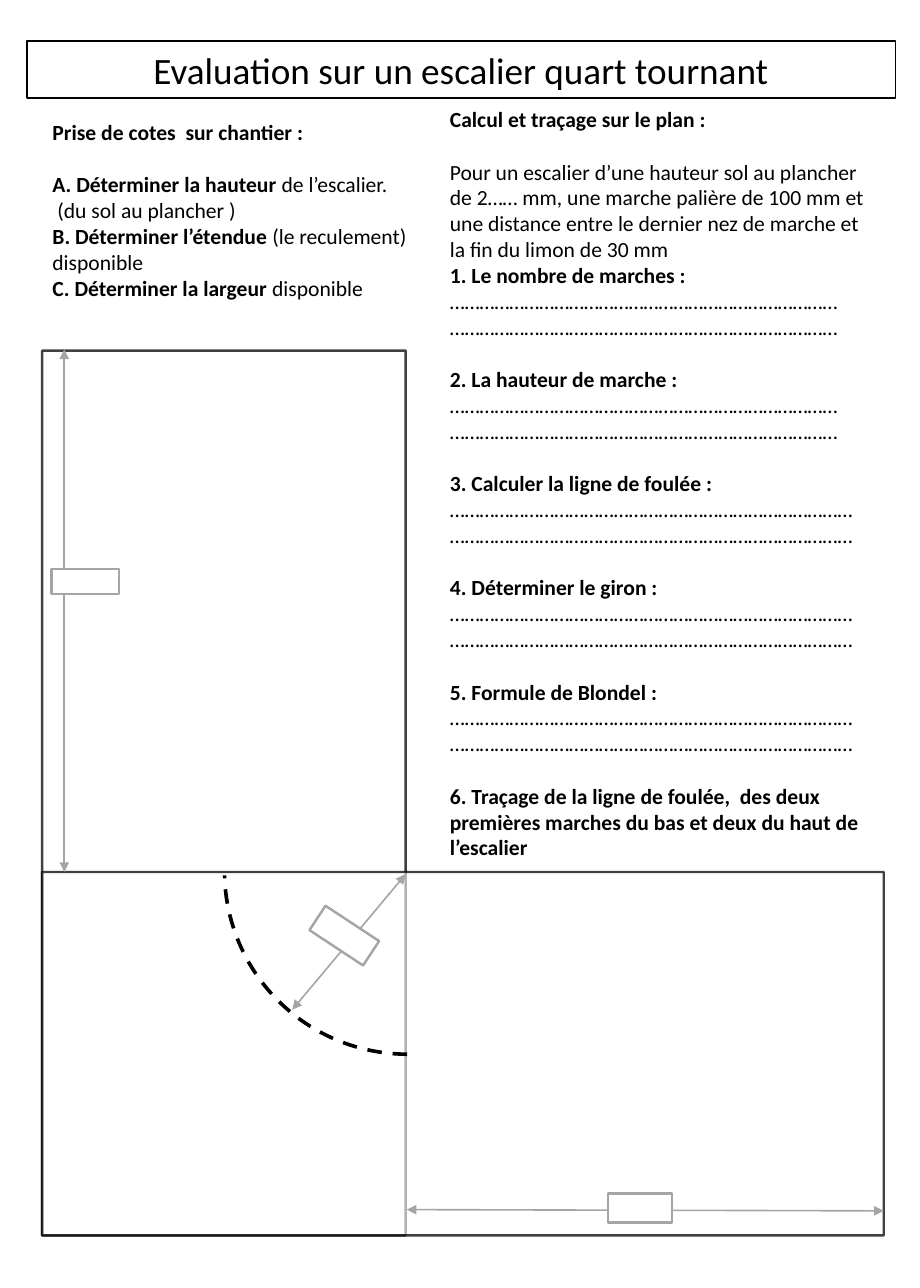
"""Builds a one-page evaluation sheet about a quarter-turn staircase."""
from dataclasses import dataclass
from typing import Optional

import pptx
import pptx.dml.color
import pptx.enum.dml
import pptx.enum.shapes
import pptx.enum.text
import pptx.oxml
import pptx.oxml.ns
import pptx.shapes.autoshape
import pptx.slide
import pptx.text.text
import pptx.util

SLIDE_WIDTH = pptx.util.Inches(7.87)
SLIDE_HEIGHT = pptx.util.Inches(11.02)
PRESETS = pptx.enum.shapes.MSO_SHAPE


@dataclass(frozen=True)
class Theme:
    font: str = "Calibri"
    ink: str = "000000"
    paper: str = "FFFFFF"
    measure: str = "A5A5A5"
    title_size: float = 22.9
    body_size: float = 13.3
    blank_line: float = 16.25
    thin: float = 1
    outline: float = 1.5
    walking_line: float = 2.25
    flight_fill_opacity: int = 60
    flight_line_opacity: int = 75


THEME = Theme()


@dataclass(frozen=True)
class Area:
    """Left, top, width and height as percentages of the slide."""
    left: float
    top: float
    width: float
    height: float

    def box(self) -> tuple[int, int, int, int]:
        return across(self.left), down(self.top), across(self.width), down(self.height)


@dataclass(frozen=True)
class Dimension:
    start: tuple[float, float]
    end: tuple[float, float]
    label: Area
    rotation: float = 0


@dataclass(frozen=True)
class Entry:
    bold: str = ""
    plain: str = ""
    spaced: bool = False


@dataclass(frozen=True)
class Question:
    heading: str
    dots: int


FLIGHTS = [
    (Area(-23.76, 47.46, 96.19, 28.22), 90),
    (Area(4.57, 67.7, 91.49, 28.22), 0),
]
DIMENSIONS = [
    Dimension((6.99, 27.13), (6.99, 67.7), Area(5.59, 44.19, 7.37, 1.91)),
    Dimension((96.06, 94.01), (44.22, 93.92), Area(66.07, 92.65, 6.99, 2.27)),
    Dimension((44.09, 67.88), (31.77, 78.4), Area(33.93, 71.51, 6.99, 2.27), 33.4),
]
SURVEY = [
    Entry("Prise de cotes  sur chantier :"),
    Entry("A. Déterminer la hauteur ", "de l’escalier.", True),
    Entry(plain=" (du sol au plancher )"),
    Entry("B. Déterminer l’étendue ", "(le reculement) disponible"),
    Entry("C. Déterminer la largeur ", "disponible"),
]
QUESTIONS = [
    Question("1. Le nombre de marches :", 26),
    Question("2. La hauteur de marche :", 26),
    Question("3. Calculer la ligne de foulée :", 27),
    Question("4. Déterminer le giron :", 27),
    Question("5. Formule de Blondel :", 27),
]
ANSWER_LINES = 2


def across(share: float) -> int:
    return round(SLIDE_WIDTH * share / 100)


def down(share: float) -> int:
    return round(SLIDE_HEIGHT * share / 100)


def rgb(value: str) -> pptx.dml.color.RGBColor:
    return pptx.dml.color.RGBColor.from_string(value)


def style_font(paragraph: pptx.text.text._Paragraph, size: float) -> None:
    paragraph.font.name = THEME.font
    paragraph.font.size = pptx.util.Pt(size)
    paragraph.font.color.rgb = rgb(THEME.ink)


def set_opacity(shape: pptx.shapes.autoshape.Shape, part: str, percent: int) -> None:
    holder = shape.element.spPr.find(pptx.oxml.ns.qn(part))
    for colour in holder.iter(pptx.oxml.ns.qn("a:srgbClr")):
        alpha = colour.makeelement(pptx.oxml.ns.qn("a:alpha"), {"val": str(percent * 1000)})
        colour.append(alpha)


def draw_shape(slide: pptx.slide.Slide, area: Area, line: str, weight: float,
               fill: Optional[str] = THEME.paper, rotation: float = 0,
               preset: PRESETS = PRESETS.RECTANGLE) -> pptx.shapes.autoshape.Shape:
    shape = slide.shapes.add_shape(preset, *area.box())
    shape.shadow.inherit = False
    shape.rotation = rotation
    shape.line.color.rgb = rgb(line)
    shape.line.width = pptx.util.Pt(weight)
    if fill is None:
        shape.fill.background()
    else:
        shape.fill.solid()
        shape.fill.fore_color.rgb = rgb(fill)
    return shape


def draw_flight(slide: pptx.slide.Slide, area: Area, rotation: float) -> None:
    flight = draw_shape(slide, area, THEME.ink, THEME.outline, rotation=rotation)
    set_opacity(flight, "a:solidFill", THEME.flight_fill_opacity)
    set_opacity(flight, "a:ln", THEME.flight_line_opacity)


def draw_dimension(slide: pptx.slide.Slide, dimension: Dimension) -> None:
    (x1, y1), (x2, y2) = dimension.start, dimension.end
    arrow = slide.shapes.add_connector(pptx.enum.shapes.MSO_CONNECTOR.STRAIGHT,
                                       across(x1), down(y1), across(x2), down(y2))
    arrow.line.color.rgb = rgb(THEME.measure)
    arrow.line.width = pptx.util.Pt(THEME.thin)
    properties = arrow.element.spPr
    stroke = properties.find(pptx.oxml.ns.qn("a:ln"))
    for tip in ("a:headEnd", "a:tailEnd"):
        stroke.append(stroke.makeelement(pptx.oxml.ns.qn(tip), {"type": "triangle"}))
    properties.append(properties.makeelement(pptx.oxml.ns.qn("a:effectLst"), {}))
    draw_shape(slide, dimension.label, THEME.measure, THEME.outline,
               rotation=dimension.rotation)


def write_column(slide: pptx.slide.Slide, area: Area, entries: list[Entry]) -> None:
    frame = slide.shapes.add_textbox(*area.box()).text_frame
    frame.word_wrap = True
    frame.auto_size = pptx.enum.text.MSO_AUTO_SIZE.SHAPE_TO_FIT_TEXT
    for index, entry in enumerate(entries):
        paragraph = frame.add_paragraph() if index else frame.paragraphs[0]
        style_font(paragraph, THEME.body_size)
        if entry.spaced:
            paragraph.space_before = pptx.util.Pt(THEME.blank_line)
        if entry.bold and entry.plain:
            for words, bold in ((entry.bold, True), (entry.plain, False)):
                run = paragraph.add_run()
                run.text = words
                run.font.bold = bold
        else:
            paragraph.add_run().text = entry.bold or entry.plain
            paragraph.font.bold = bool(entry.bold)


def calculation_entries() -> list[Entry]:
    entries = [
        Entry("Calcul et traçage sur le plan :"),
        Entry(plain="Pour un escalier d’une hauteur sol au plancher de 2…… mm, une marche "
                    "palière de 100 mm et une distance entre le dernier nez de marche et "
                    "la fin du limon de 30 mm", spaced=True),
    ]
    for number, question in enumerate(QUESTIONS):
        entries.append(Entry(question.heading, spaced=number > 0))
        entries += [Entry(plain="…" * question.dots)] * ANSWER_LINES
    entries.append(Entry("6. Traçage de la ligne de foulée,  des deux premières marches "
                         "du bas et deux du haut de l’escalier", spaced=True))
    return entries


def write_title(slide: pptx.slide.Slide) -> None:
    banner = draw_shape(slide, Area(2.92, 3.18, 94.41, 4.45), THEME.ink, THEME.thin)
    banner.text_frame.word_wrap = True
    banner.text_frame.auto_size = pptx.enum.text.MSO_AUTO_SIZE.SHAPE_TO_FIT_TEXT
    heading = banner.text_frame.paragraphs[0]
    heading.add_run().text = "Evaluation sur un escalier quart tournant"
    heading.alignment = pptx.enum.text.PP_ALIGN.CENTER
    style_font(heading, THEME.title_size)


def draw_walking_line(slide: pptx.slide.Slide) -> None:
    walking_line = draw_shape(slide, Area(24.4, 53.45, 39.77, 28.4), THEME.ink,
                              THEME.walking_line, None, 180, PRESETS.ARC)
    walking_line.line.dash_style = pptx.enum.dml.MSO_LINE.DASH
    walking_line.adjustments[0] = 162.06
    walking_line.adjustments[1] = 215.24


def main() -> None:
    deck = pptx.Presentation()
    deck.slide_width, deck.slide_height = SLIDE_WIDTH, SLIDE_HEIGHT
    slide = deck.slides.add_slide(deck.slide_layouts[6])
    write_column(slide, Area(4.45, 8.8, 43.2, 15.15), SURVEY)
    write_column(slide, Area(47.65, 7.8, 47.9, 59.98), calculation_entries())
    for area, rotation in FLIGHTS:
        draw_flight(slide, area, rotation)
    for dimension in DIMENSIONS:
        draw_dimension(slide, dimension)
    write_title(slide)
    draw_walking_line(slide)
    deck.save("out.pptx")


if __name__ == "__main__":
    main()
